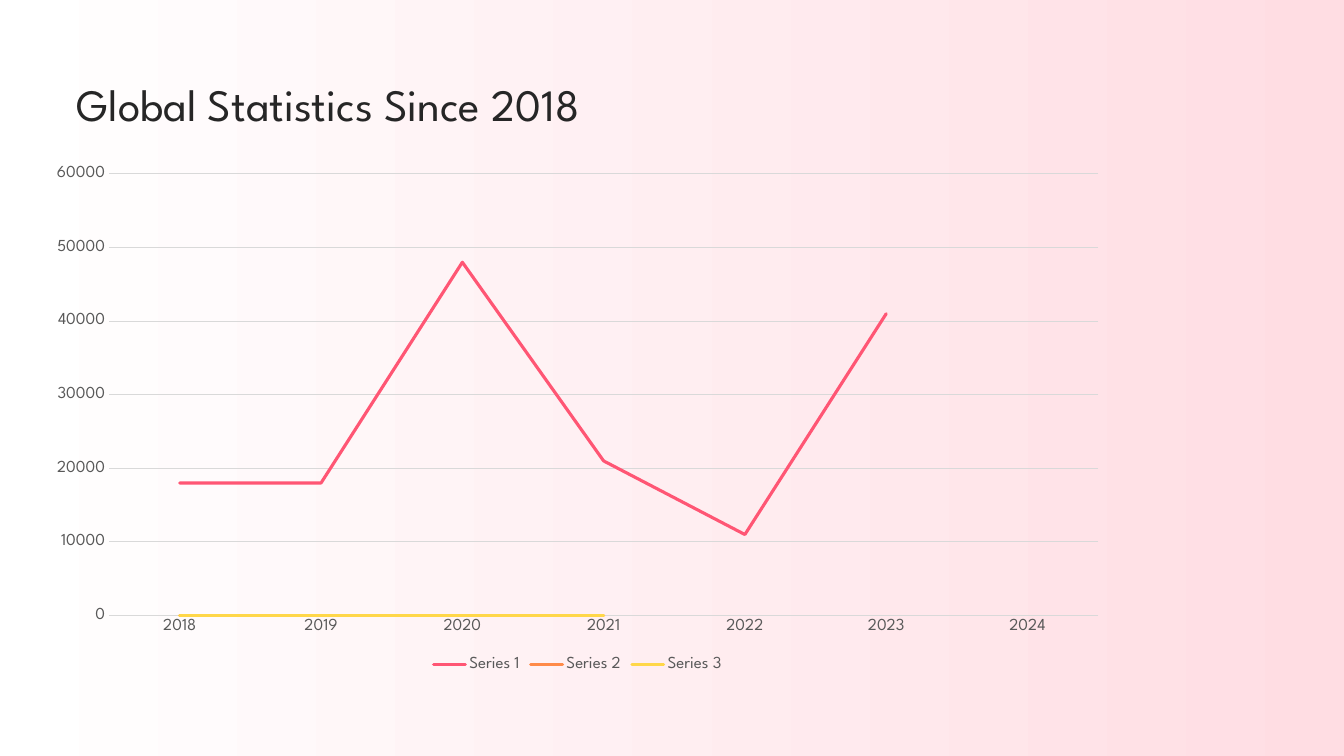
from pptx import Presentation
from pptx.chart.data import CategoryChartData
from pptx.dml.color import RGBColor
from pptx.enum.chart import XL_CHART_TYPE, XL_LEGEND_POSITION, XL_TICK_MARK
from pptx.enum.shapes import MSO_SHAPE
from pptx.enum.text import MSO_ANCHOR, MSO_AUTO_SIZE, PP_ALIGN
from pptx.util import Pt

# Content
TITLE = "Global Statistics Since 2018"
YEARS = [str(year) for year in range(2018, 2025)]
SERIES = [
    ("Series 1", "FF5674", (18000, 18000, 48000, 21000, 11000, 41000, None)),
    ("Series 2", "FF8B49", (0, 0, 0, 0, None, None, None)),
    ("Series 3", "FFD749", (0, 0, 0, 0, None, None, None)),
]

# Layout and style
FONT = "League Spartan"
WIDTH, HEIGHT = 960, 540
TITLE_BOX = (54.7, 30.5, 850.3, 62.6)
CHART_BOX = (25.2, 111.2, 774.7, 372.2)
PINK, WHITE, INK, GRAY, RULE = "FFDDE3", "FFFFFF", "262626", "595959", "D9D9D9"


def color(value):
    return RGBColor.from_string(value)


def points(lengths):
    return [Pt(length) for length in lengths]


def style_font(font, size, value):
    font.name, font.size, font.bold = FONT, Pt(size), False
    font.color.rgb = color(value)


def style_line(line, value, width):
    line.color.rgb = color(value)
    line.width = Pt(width)


def write(box, text, size, value, align=PP_ALIGN.LEFT, anchor=MSO_ANCHOR.BOTTOM):
    frame = box.text_frame
    frame.margin_left = frame.margin_top = frame.margin_right = frame.margin_bottom = 0
    frame.word_wrap, frame.auto_size = True, MSO_AUTO_SIZE.NONE
    frame.vertical_anchor = anchor
    para = frame.paragraphs[0]
    para.alignment = align
    span = para.add_run()
    span.text = text
    style_font(span.font, size, value)


deck = Presentation()
deck.slide_width, deck.slide_height = points((WIDTH, HEIGHT))
page = deck.slides.add_slide(deck.slide_layouts[5])

# Background: solid pink under a white-to-pink gradient panel
page.background.fill.solid()
page.background.fill.fore_color.rgb = color(PINK)
panel = page.shapes.add_shape(MSO_SHAPE.RECTANGLE, *points((0, 0, WIDTH, HEIGHT)))
panel.shadow.inherit = False
panel.line.fill.background()
panel.fill.gradient()
panel.fill.gradient_angle = 0
for stop, value, position in zip(panel.fill.gradient_stops, (WHITE, PINK), (0, 1)):
    stop.color.rgb = color(value)
    stop.position = position
page.shapes.element.insert(2, panel.element)

# Title
title = page.shapes.title
title.left, title.top, title.width, title.height = points(TITLE_BOX)
write(title, TITLE, 32, INK)

# Line chart
data = CategoryChartData()
data.categories = YEARS
for name, _, values in SERIES:
    data.add_series(name, values)
chart = page.shapes.add_chart(XL_CHART_TYPE.LINE, *points(CHART_BOX), data).chart
style_font(chart.font, 12, GRAY)
chart.has_title = False
chart.plots[0].vary_by_categories = False
for series, (_, value, _) in zip(chart.plots[0].series, SERIES):
    series.smooth = False
    style_line(series.format.line, value, 2.25)
    # Round line ends
    series.format.line._get_or_add_ln().set("cap", "rnd")

# Axes
for axis in (chart.category_axis, chart.value_axis):
    axis.major_tick_mark = axis.minor_tick_mark = XL_TICK_MARK.NONE
    style_font(axis.tick_labels.font, 12, GRAY)
style_line(chart.category_axis.format.line, RULE, 0.75)
values_axis = chart.value_axis
values_axis.minimum_scale, values_axis.maximum_scale = 0, 60000
values_axis.major_unit = 10000
values_axis.format.line.fill.background()
style_line(values_axis.major_gridlines.format.line, RULE, 0.75)

# Legend
chart.has_legend = True
chart.legend.position = XL_LEGEND_POSITION.BOTTOM
chart.legend.include_in_layout = False
style_font(chart.legend.font, 12, GRAY)

deck.save("out.pptx")
